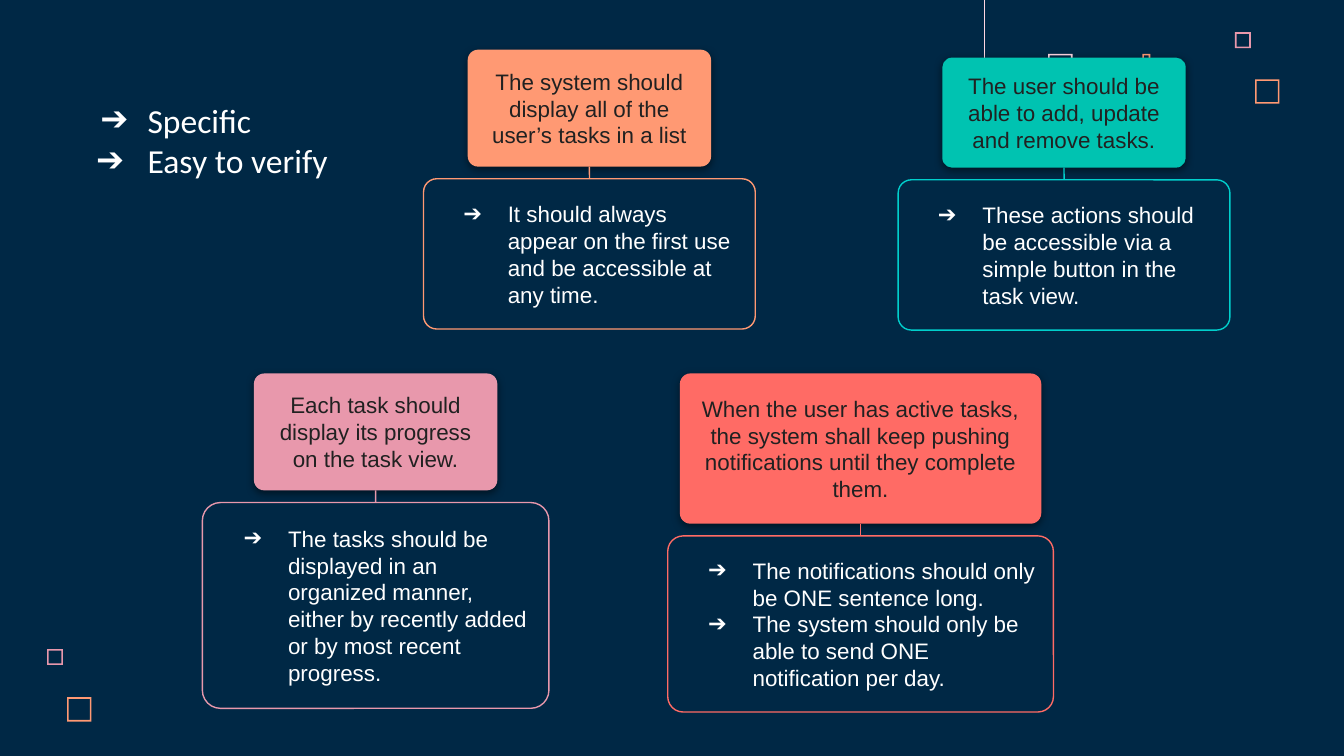
from lxml import etree
from pptx import Presentation
from pptx.dml.color import RGBColor
from pptx.enum import shapes, text
from pptx.oxml import parse_xml
from pptx.oxml.ns import nsdecls, qn
from pptx.util import Cm, Pt

COLORS = {
    "navy": "002845", "white": "FFFFFF", "ink": "212121", "blush": "FFD6E1",
    "orange": "FF9973", "pink": "E898AC", "red": "FF6B65",
    "teal": "00C3B1", "cyan": "00CFCC",
}
GAP = 0.23  # between a requirement and its details, cm


def rgb(name):
    return RGBColor.from_string(COLORS[name])


def write(shape, lines, font, size, color, hanging=()):
    """Fill a shape with lines; each hanging indent (cm) makes an arrow bullet."""
    frame = shape.text_frame
    frame.word_wrap = True
    frame.margin_left = frame.margin_right = Cm(0.25)
    frame.margin_top = frame.margin_bottom = Cm(0.25)
    frame.text = "\n".join(lines)
    for i, paragraph in enumerate(frame.paragraphs):
        paragraph.font.name, paragraph.font.size = font, Pt(size)
        paragraph.font.color.rgb = rgb(color)
        paragraph.alignment = text.PP_ALIGN.LEFT if hanging else text.PP_ALIGN.CENTER
        if hanging:
            props = paragraph._p.get_or_add_pPr()
            props.set("marL", str(Cm(1.27)))
            props.set("indent", str(-Cm(hanging[i])))
            bullet_color = etree.Element(qn("a:buClr"))
            etree.SubElement(bullet_color, qn("a:srgbClr"), val=COLORS["white"])
            bullet_font = etree.Element(qn("a:buFont"), typeface=font)
            bullet = etree.Element(qn("a:buChar"), char="➔")
            for position, part in enumerate((bullet_color, bullet_font, bullet)):
                props.insert(position, part)


prs = Presentation()
prs.slide_width, prs.slide_height = Cm(25.4), Cm(14.29)
slide = prs.slides.add_slide(prs.slide_layouts[6])
slide.background.fill.solid()
slide.background.fill.fore_color.rgb = rgb("navy")

# Decorative square frames: left, top, side, colour
for left, top, side, color in [
    (19.81, 1.02, 0.46, "blush"), (23.34, 0.61, 0.3, "pink"),
    (21.59, 1.02, 0.15, "orange"), (23.72, 1.5, 0.46, "orange"),
    (0.89, 12.27, 0.3, "pink"), (1.27, 13.18, 0.46, "orange"),
]:
    x, y, s, t = Cm(left), Cm(top), Cm(side), Cm(0.03)
    outline = slide.shapes.build_freeform(x, y)
    outline.add_line_segments([(x, y + s), (x + s, y + s), (x + s, y)])
    outline.move_to(x + t, y + t)
    outline.add_line_segments(
        [(x + s - t, y + t), (x + s - t, y + s - t), (x + t, y + s - t)])
    frame = outline.convert_to_shape()
    frame.shadow.inherit = False
    frame.fill.solid()
    frame.fill.fore_color.rgb = rgb(color)
    frame.line.fill.background()

# Decorative line from the top edge
thread = slide.shapes.add_connector(
    shapes.MSO_CONNECTOR.STRAIGHT, Cm(18.6), 0, Cm(18.6), Cm(1.09))
thread.line.color.rgb, thread.line.width = rgb("blush"), Pt(0.5)
etree.SubElement(thread._element.spPr, qn("a:effectLst"))

# Requirements: card box, fill, line colour, corner, text, details size, details
requirements = [
    ((8.84, 0.94, 4.6, 2.21), "orange", "orange", 0.088,
     "The system should display all of the user’s tasks in a list", (6.27, 2.84),
     ["It should always appear on the first use and be accessible at any time."]),
    ((4.8, 7.06, 4.6, 2.21), "pink", "pink", 0.088,
     "Each task should display its progress on the task view.", (6.55, 3.89),
     ["The tasks should be displayed in an organized manner, either by recently "
      "added or by most recent progress."]),
    ((17.81, 1.09, 4.6, 2.08), "teal", "cyan", 0.088,
     "The user should be able to add, update and remove tasks.", (6.27, 2.84),
     ["These actions should be accessible via a simple button in the task view."]),
    ((12.85, 7.06, 6.83, 2.84), "red", "red", 0.07,
     "When the user has active tasks, the system shall keep pushing notifications "
     "until they complete them.", (7.29, 3.33),
     ["The notifications should only be ONE sentence long.",
      "The system should only be able to send ONE notification per day."]),
]
for box, fill, line, corner, requirement, (width, height), details in requirements:
    left, top, card_width, card_height = box
    center, bottom = left + card_width / 2, top + card_height

    # Requirement card with a soft shadow
    card = slide.shapes.add_shape(
        shapes.MSO_SHAPE.ROUNDED_RECTANGLE, *[Cm(n) for n in box])
    card.adjustments[0] = corner
    card.fill.solid()
    card.fill.fore_color.rgb = rgb(fill)
    card.line.fill.background()
    card.shadow.inherit = False
    card._element.spPr.find(qn("a:effectLst")).append(parse_xml(
        f'<a:outerShdw {nsdecls("a")} blurRad="{Pt(4.5)}" dist="{Pt(1.5)}" '
        'dir="5400000" algn="bl" rotWithShape="0"><a:srgbClr val="000000">'
        '<a:alpha val="50000"/></a:srgbClr></a:outerShdw>'))
    write(card, [requirement], "Arial", 12, "ink")

    # Outlined details, centred below the card
    panel = slide.shapes.add_shape(
        shapes.MSO_SHAPE.ROUNDED_RECTANGLE,
        Cm(center - width / 2), Cm(bottom + GAP), Cm(width), Cm(height))
    panel.adjustments[0] = 0.088
    panel.fill.background()
    panel.line.color.rgb, panel.line.width = rgb(line), Pt(0.75)
    panel.shadow.inherit = False
    write(panel, details, "Arial", 12, "white", [0.84] * len(details))

    # Link from card to details
    link = slide.shapes.add_connector(
        shapes.MSO_CONNECTOR.STRAIGHT,
        Cm(center), Cm(bottom), Cm(center), Cm(bottom + GAP))
    link.begin_connect(card, 2)
    link.end_connect(panel, 0)
    link.line.color.rgb, link.line.width = rgb(line), Pt(0.75)
    etree.SubElement(link._element.spPr, qn("a:effectLst"))

# Qualities of a good requirement
qualities = slide.shapes.add_textbox(Cm(1.27), Cm(1.63), Cm(5.46), Cm(2.59))
write(qualities, ["Specific", "Easy to verify"], "Calibri", 18, "white", [0.89, 0.97])

prs.save("out.pptx")
